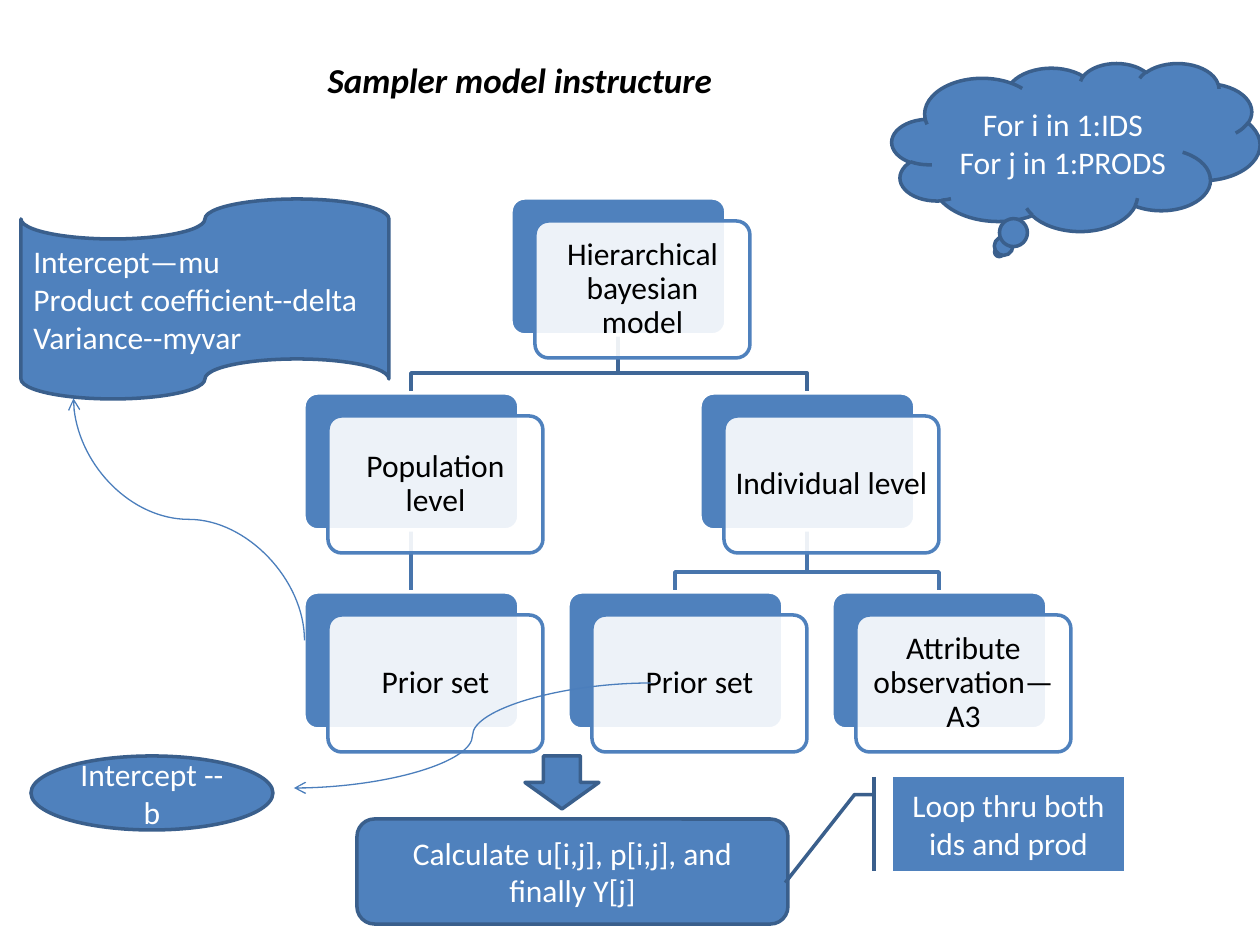
from dataclasses import dataclass

import pptx
import pptx.dml.color
import pptx.enum.shapes
import pptx.enum.text
import pptx.oxml.ns
import pptx.util
from lxml import etree

SCALE = 914400 / 126
KIND = pptx.enum.shapes.MSO_SHAPE
ALIGN = pptx.enum.text.PP_ALIGN
ANCHOR = pptx.enum.text.MSO_ANCHOR
BLUE, EDGE, WIRE, WHITE, BLACK = "4F81BD", "3A5F8C", "4B7EBC", "FFFFFF", "000000"
CARD_W, CARD_H = 215, 137
SHIFT_X, SHIFT_Y = 24, 23
BEND = 20


@dataclass
class Card:
    left: int
    top: int
    text: str


@dataclass
class Note:
    kind: KIND
    box: tuple[int, int, int, int]
    text: str = ""
    align: ALIGN = ALIGN.CENTER


def px(n: float) -> pptx.util.Emu:
    return pptx.util.Emu(round(n * SCALE))


def color(code: str) -> pptx.dml.color.RGBColor:
    return pptx.dml.color.RGBColor.from_string(code)


def write(shape, text: str, *, size: int = 18, ink: str = WHITE, align=ALIGN.CENTER,
          anchor=ANCHOR.MIDDLE, bold: bool = False, italic: bool = False,
          space: float = 1.0, inset: float | None = None) -> None:
    frame = shape.text_frame
    frame.word_wrap = True
    frame.auto_size = pptx.enum.text.MSO_AUTO_SIZE.NONE
    frame.vertical_anchor = anchor
    if inset is not None:
        frame.margin_left = frame.margin_right = px(inset)
        frame.margin_top = frame.margin_bottom = px(inset)
    frame.text = text
    for para in frame.paragraphs:
        para.alignment = align
        para.line_spacing = space
        for run in para.runs:
            font = run.font
            font.name, font.size = "Calibri", pptx.util.Pt(size)
            font.bold, font.italic = bold, italic
            font.color.rgb = color(ink)


def stroke(shape, code: str, width: float) -> None:
    shape.line.color.rgb = color(code)
    shape.line.width = pptx.util.Pt(width)


def draw(kind: KIND, box: tuple[int, int, int, int], fill: str, edge: str):
    shape = slide.shapes.add_shape(kind, *map(px, box))
    shape.shadow.inherit = False
    shape.fill.solid()
    shape.fill.fore_color.rgb = color(fill)
    stroke(shape, edge, 2)
    return shape


def sub(node, tag: str, **attrs: str):
    return etree.SubElement(node, pptx.oxml.ns.qn(tag), **attrs)


def link(kind, start: tuple[int, int], end: tuple[int, int], code: str, width: float,
         arrow: bool = False, turn: int = 0) -> None:
    line = slide.shapes.add_connector(kind, *map(px, start + end))
    stroke(line, code, width)
    props = line._element.spPr
    if arrow:
        sub(line.line._get_or_add_ln(), "a:tailEnd", type="arrow")
    if turn:
        props.xfrm.set("rot", str(turn * 60000))
    sub(props, "a:effectLst")


def branch(top: Card, child: Card, code: str) -> None:
    x, y = top.left + CARD_W // 2, top.top + CARD_H
    end_x, end_y = child.left + CARD_W // 2, child.top
    if x == end_x:
        link(pptx.enum.shapes.MSO_CONNECTOR.STRAIGHT, (x, y), (end_x, end_y), code, 2)
        return
    path = slide.shapes.build_freeform(x, y, scale=SCALE)
    path.add_line_segments([(x, end_y - BEND), (end_x, end_y - BEND), (end_x, end_y)], close=False)
    shape = path.convert_to_shape()
    shape.shadow.inherit = False
    shape.fill.background()
    stroke(shape, code, 2)


def stack(card: Card) -> None:
    front = (card.left + SHIFT_X, card.top + SHIFT_Y, CARD_W, CARD_H)
    back = draw(KIND.ROUNDED_RECTANGLE, (card.left, card.top, CARD_W, CARD_H), BLUE, WHITE)
    pane = draw(KIND.ROUNDED_RECTANGLE, front, WHITE, BLUE)
    for shape in (back, pane):
        shape.adjustments[0] = 0.1
    tint = pane._element.spPr.find(".//" + pptx.oxml.ns.qn("a:srgbClr"))
    sub(tint, "a:alpha", val="90000")
    label = slide.shapes.add_textbox(*map(px, front))
    write(label, card.text, ink=BLACK, space=0.9, inset=9)


deck = pptx.Presentation()
deck.slide_width, deck.slide_height = px(1260), px(945)
slide = deck.slides.add_slide(deck.slide_layouts[5])

# Title
title = slide.shapes.title
title.left, title.top, title.width, title.height = map(px, (315, 52, 725, 55))
write(title, "Sampler model instructure", size=20, ink=BLACK, align=ALIGN.LEFT,
      anchor=ANCHOR.TOP, bold=True, italic=True)

# Model tree
root = Card(511, 198, "Hierarchical bayesian model")
group = Card(304, 393, "Population level")
single = Card(700, 393, "Individual level")
prior = Card(304, 592, "Prior set")
other = Card(568, 592, "Prior set")
data = Card(832, 592, "Attribute observation—A3")
for top, child in ((single, data), (single, other), (root, single), (group, prior), (root, group)):
    branch(top, child, "3F6797" if top is root else "4875AC")
for card in (root, group, prior, single, other, data):
    stack(card)

# Notes around the tree
notes = [
    Note(KIND.FLOWCHART_PUNCHED_TAPE, (21, 199, 368, 200),
         "Intercept—mu\nProduct coefficient--delta\nVariance--myvar", ALIGN.LEFT),
    Note(KIND.DOWN_ARROW, (525, 756, 74, 53)),
    Note(KIND.ROUNDED_RECTANGLE, (357, 819, 431, 105),
         "Calculate u[i,j], p[i,j], and finally Y[j]"),
    Note(KIND.LINE_CALLOUT_2_ACCENT_BAR, (893, 777, 231, 94), "Loop thru both ids and prod"),
    Note(KIND.OVAL, (31, 756, 242, 74), "Intercept -- b"),
    Note(KIND.CLOUD_CALLOUT, (892, 63, 368, 168), "For i in 1:IDS\nFor j in 1:PRODS"),
]
for note in notes:
    shape = draw(note.kind, note.box, BLUE, EDGE)
    if note.text:
        write(shape, note.text, align=note.align)

# Curved arrows from the priors
CURVE = pptx.enum.shapes.MSO_CONNECTOR.CURVE
link(CURVE, (68, 635), (310, 404), WIRE, 0.75, arrow=True, turn=270)
link(CURVE, (651, 683), (294, 788), WIRE, 0.75, arrow=True)

deck.save("out.pptx")
